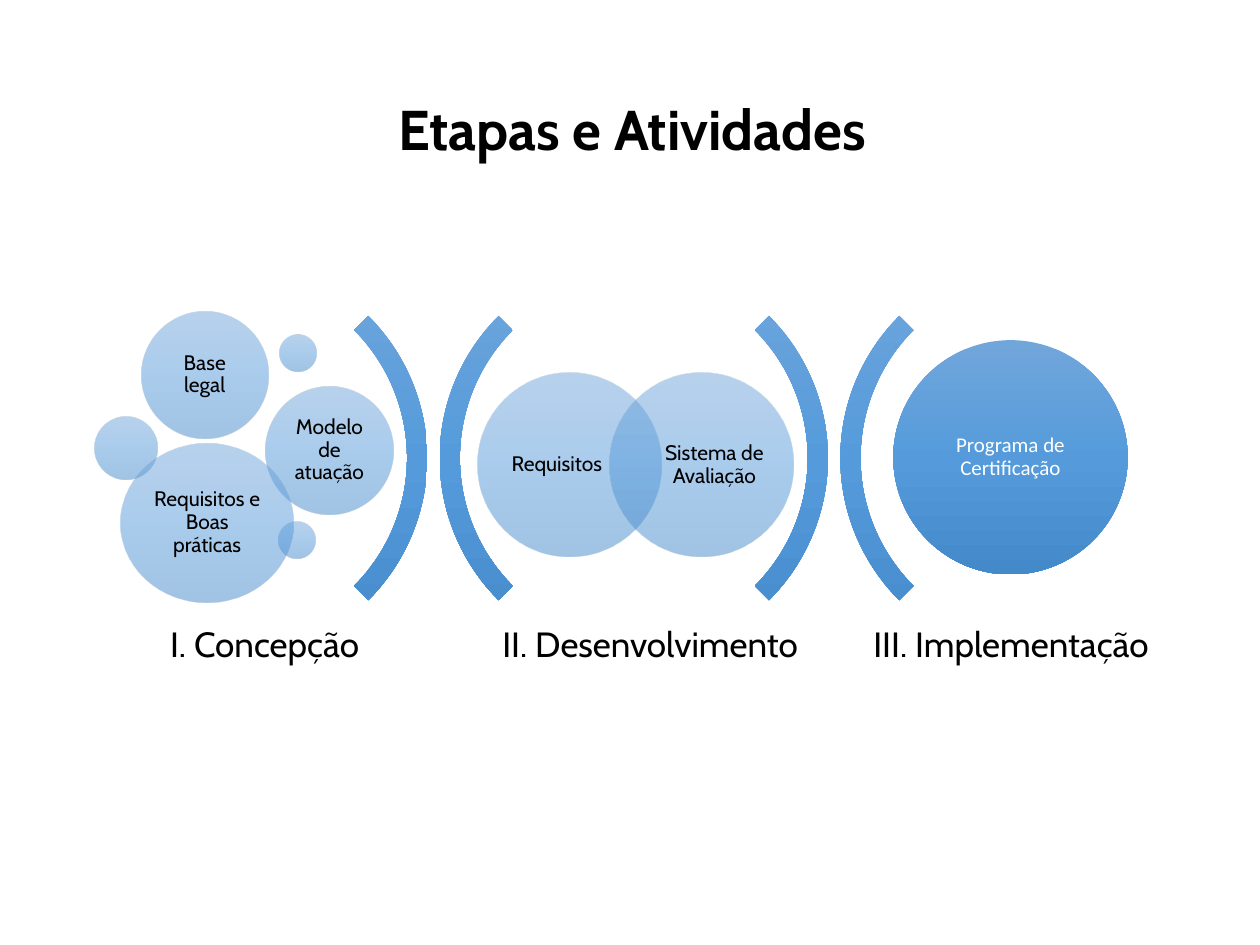
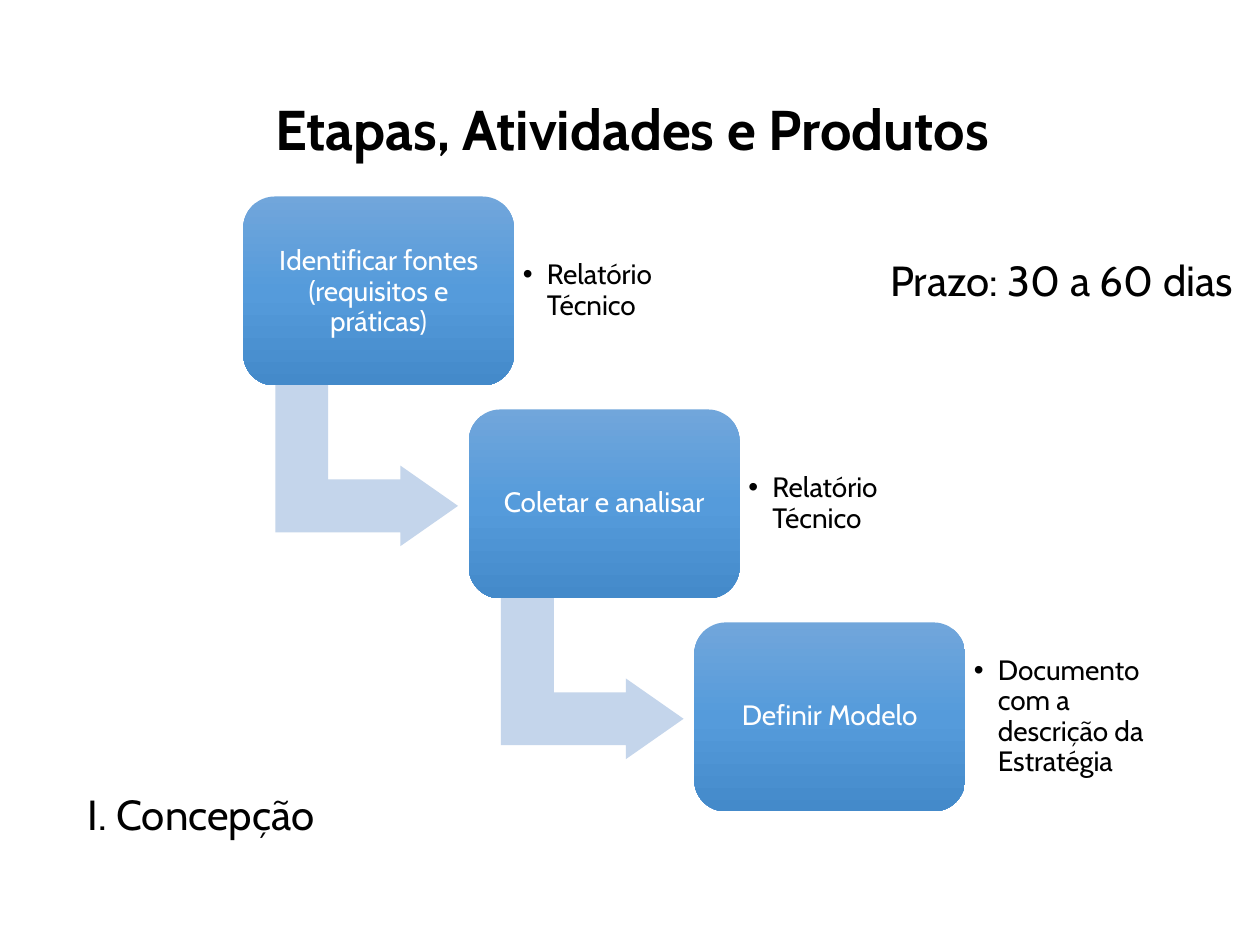
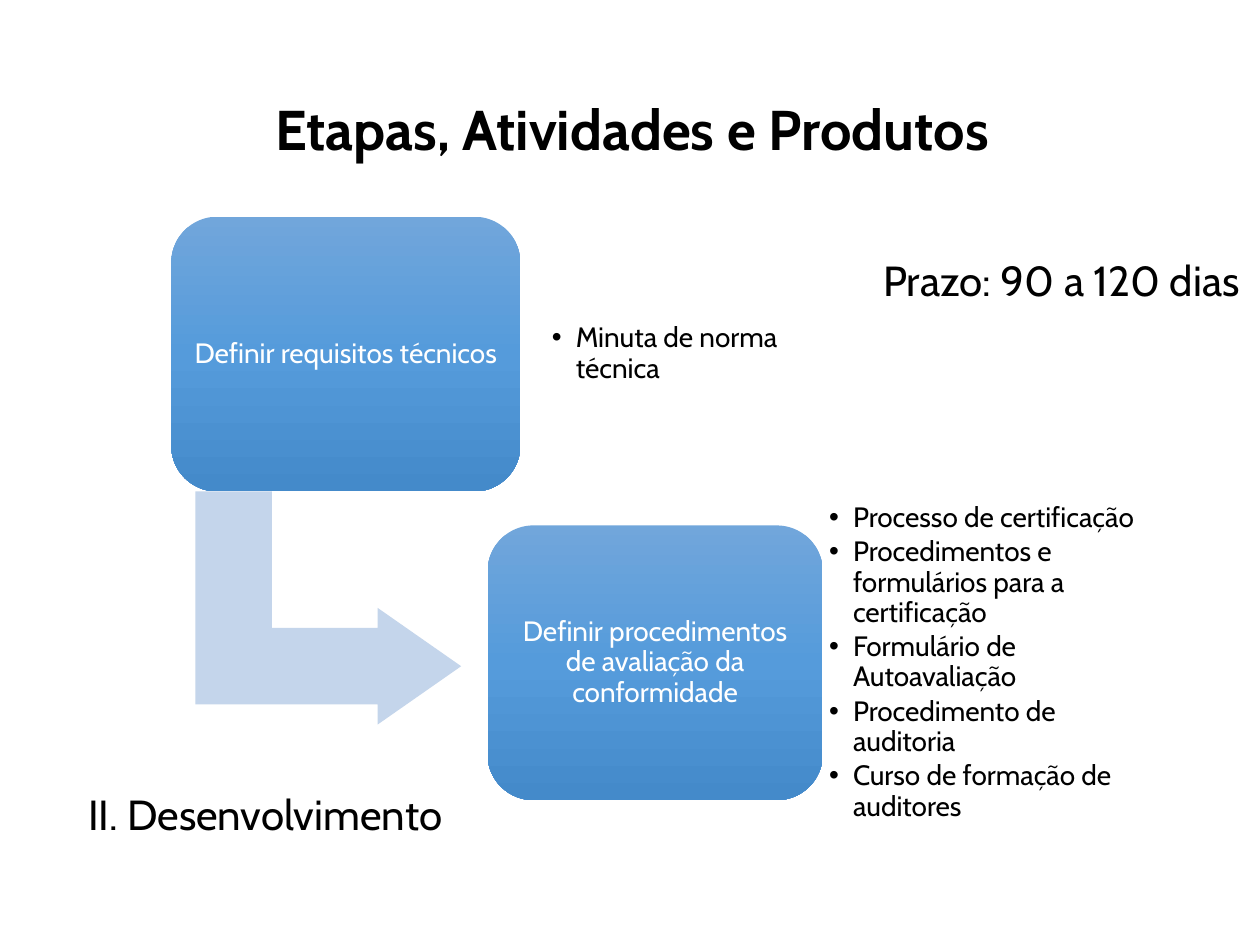
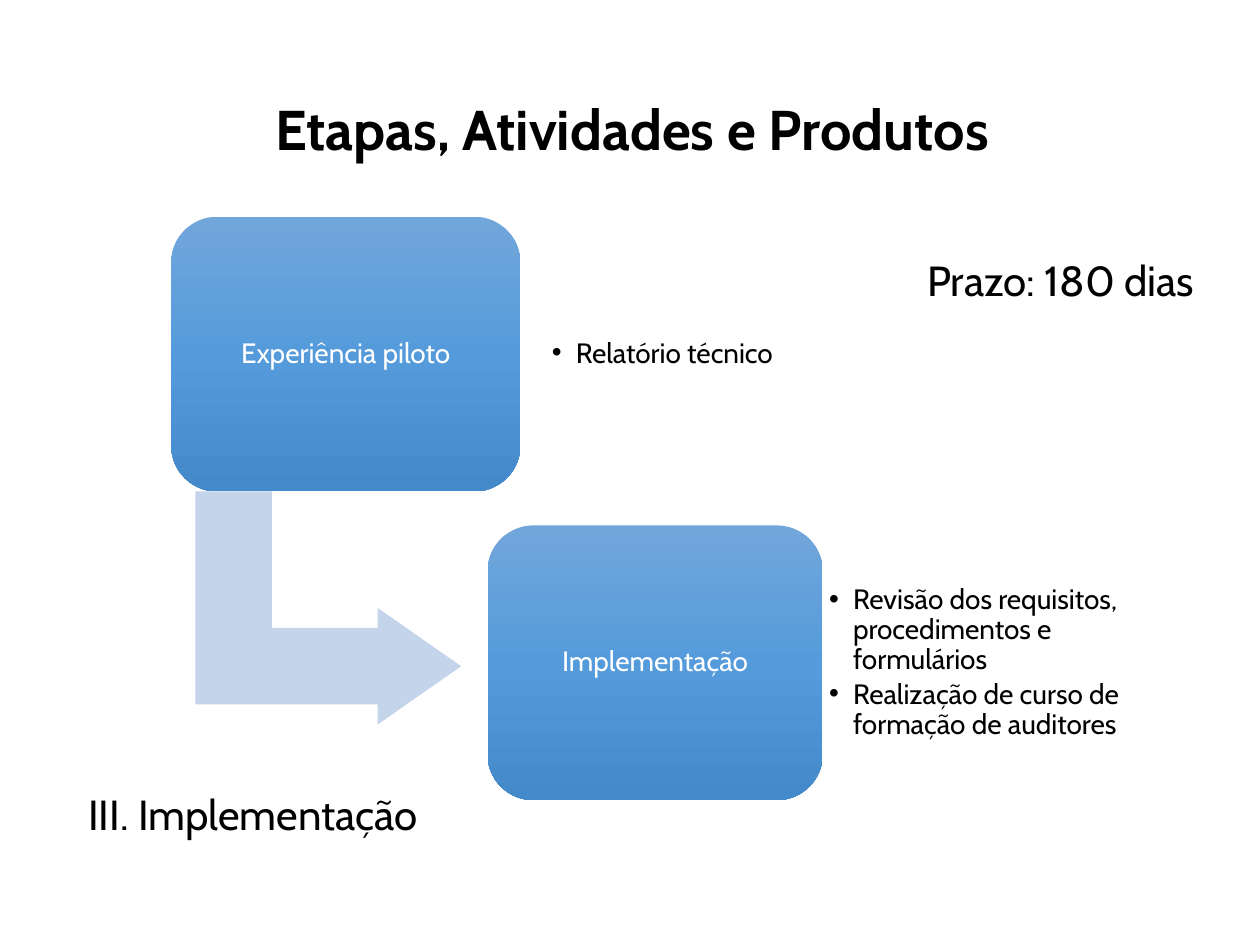
from pptx import Presentation
from pptx import util as u
from pptx.dml.color import RGBColor
from pptx.enum import shapes, text
from pptx.oxml import parse_xml
from pptx.oxml.ns import nsdecls

PX = 9144
COLORS = {"top": "71A6DB", "middle": "559BDB", "bottom": "448ACA",
          "arrow": "C4D5EB", "ink": "000000", "light": "FFFFFF"}
SHAPES = shapes.MSO_SHAPE
CENTER = text.PP_ALIGN.CENTER
LEFT = text.PP_ALIGN.LEFT
MIDDLE = text.MSO_ANCHOR.MIDDLE


def add_shape(slide, kind, box, fill="gradient", opacity=100, rotation=0, adjustments=()):
    shape = slide.shapes.add_shape(kind, *[n * PX for n in box])
    shape.rotation = rotation
    for index, value in enumerate(adjustments):
        shape.adjustments[index] = value
    if fill == "gradient":
        stops = "".join(
            f'<a:gs pos="{position}"><a:srgbClr val="{COLORS[name]}">'
            f'<a:alpha val="{opacity * 1000}"/></a:srgbClr></a:gs>'
            for position, name in ((0, "top"), (50000, "middle"), (100000, "bottom")))
        gradient = parse_xml(
            f'<a:gradFill {nsdecls("a")} rotWithShape="0"><a:gsLst>{stops}</a:gsLst>'
            '<a:lin ang="5400000" scaled="0"/></a:gradFill>')
        shape._element.spPr.prstGeom.addnext(gradient)
    else:
        shape.fill.solid()
        shape.fill.fore_color.rgb = RGBColor.from_string(COLORS[fill])
    shape.line.fill.background()
    shape.shadow.inherit = False
    return shape


def write(shape, paragraphs, size, color="ink", margins=(10, 5, 10, 5), align=CENTER,
          spacing=0.9, after=0, wrap=True, anchor=MIDDLE, bold=False, bullet=False):
    frame = shape.text_frame
    frame_format = {"word_wrap": wrap, "vertical_anchor": anchor,
                    "auto_size": text.MSO_AUTO_SIZE.NONE if wrap else text.MSO_AUTO_SIZE.SHAPE_TO_FIT_TEXT}
    for side, margin in zip(("left", "top", "right", "bottom"), margins):
        frame_format[f"margin_{side}"] = margin * PX
    for name, value in frame_format.items():
        setattr(frame, name, value)
    paragraph_format = {"alignment": align, "line_spacing": spacing,
                        "space_before": u.Pt(0), "space_after": u.Pt(after)}
    for index, runs in enumerate(paragraphs):
        paragraph = frame.add_paragraph() if index else frame.paragraphs[0]
        for name, value in paragraph_format.items():
            setattr(paragraph, name, value)
        if bullet:
            properties = paragraph._p.get_or_add_pPr()
            properties.set("marL", str(19 * PX))
            properties.set("indent", str(-19 * PX))
            properties.append(parse_xml(f'<a:buChar {nsdecls("a")} char="•"/>'))
        for content, changes in runs:
            run = paragraph.add_run()
            run.text = content
            run_format = {"name": "Cabin", "size": u.Pt(size), "bold": bold} | changes
            for name, value in run_format.items():
                setattr(run.font, name, value)
            run.font.color.rgb = RGBColor.from_string(COLORS[color])


presentation = Presentation()
presentation.slide_width = 1000 * PX
presentation.slide_height = 750 * PX

TITLE_BOX = (77, 21, 850, 161)
ACTIVITIES = "Etapas e Atividades"
PRODUCTS = "Etapas, Atividades e Produtos"
slides = []
for title, layout in ((ACTIVITIES, 5), (PRODUCTS, 4), (PRODUCTS, 3), (PRODUCTS, 3)):
    slide = presentation.slides.add_slide(presentation.slide_layouts[layout])
    holder = slide.shapes.title
    holder.left, holder.top, holder.width, holder.height = [n * PX for n in TITLE_BOX]
    write(holder, [[(title, {})]], 32, spacing=1.0, bold=True)
    slides.append(slide)

overview = slides[0]
for left, rotation in ((20, 90), (349, 270), (338, 90), (667, 270)):
    add_shape(overview, SHAPES.BLOCK_ARC, (left, 204, 319, 319),
              rotation=rotation, adjustments=(135, 189, 0.05))

EVEN = (5, 5, 5, 5)
bubbles = [
    ((379, 296, 146, 146), "Requisitos", (0, 0, 20, 0)),
    ((484, 296, 146, 146), "Sistema de Avaliação", (20, 0, 0, 0)),
    ((112, 247, 101, 101), "Base legal", EVEN),
    ((75, 331, 50, 50), "", EVEN),
    ((222, 266, 29, 29), "", EVEN),
    ((211, 307, 101, 101), "Modelo de atuação", EVEN),
    ((221, 414, 29, 29), "", EVEN),
    ((96, 352, 137, 126), "Requisitos e Boas práticas", EVEN),
]
for box, label, margins in bubbles:
    bubble = add_shape(overview, SHAPES.OVAL, box, opacity=50)
    if label:
        write(bubble, [[(label, {})]], 12, margins=margins)

program = add_shape(overview, SHAPES.OVAL, (709, 270, 186, 186))
write(program, [[("Programa de Certificação", {"name": "Calibri"})]], 12, "light", EVEN)

stages = ["I. Concepção", "II. Desenvolvimento", "III. Implementação"]
for stage, left, width in zip(stages, (89, 375, 661), (242, 282, 283)):
    caption = overview.shapes.add_textbox(left * PX, 481 * PX, width * PX, 64 * PX)
    write(caption, [[(stage, {})]], 20, margins=(8, 8, 8, 8))

stair_boxes = [(193 + 179 * n, 156 + 169 * n, 215, 150) for n in range(3)]
stair_lists = [(left + width, top + 14, 156, 122) for left, top, width, height in stair_boxes]
stair_arrows = [(left + 34, top + 141, 128, 145) for left, top, width, height in stair_boxes[:2]]
pair_boxes = [(136, 172, 277, 218), (387, 417, 266, 218)]
pair_lists = [(431, 193, 227, 176), (651, 438, 276, 176)]
pair_arrows = [(168, 377, 185, 211)]

plans = [
    ("Prazo: 30 a 60 dias", 299, stair_boxes, stair_lists, stair_arrows, [
        ([("I", {"name": "Calibri", "size": u.Pt(17)}),
          ("dentificar fontes (requisitos e práticas)", {})], ["Relatório Técnico"]),
        ([("Coletar e analisar", {})], ["Relatório Técnico"]),
        ([("Definir Modelo", {})], ["Documento com a descrição da Estratégia"]),
    ]),
    ("Prazo: 90 a 120 dias", 317, pair_boxes, pair_lists, pair_arrows, [
        ([("Definir requisitos técnicos", {})], ["Minuta de norma técnica"]),
        ([("Definir procedimentos de avaliação da conformidade", {})], [
            "Processo de certificação",
            "Procedimentos e formulários para a certificação",
            "Formulário de Autoavaliação",
            "Procedimento de auditoria",
            "Curso de formação de auditores"]),
    ]),
    ("Prazo: 180 dias", 244, pair_boxes, pair_lists, pair_arrows, [
        ([("Experiência piloto", {})], ["Relatório técnico"]),
        ([("Implementação", {})], [
            "Revisão dos requisitos, procedimentos e formulários",
            "Realização de curso de formação de auditores"]),
    ]),
]

STEP_MARGINS = (7, 7, 7, 7)
for slide, stage, stage_width, plan in zip(slides[1:], stages, (213, 311, 291), plans):
    deadline, deadline_width, boxes, lists, arrows, steps = plan
    for box in arrows:
        add_shape(slide, SHAPES.BENT_UP_ARROW, box, "arrow", rotation=90,
                  adjustments=(0.328, 0.25, 0.358))
    holders = [holder for holder in slide.placeholders if holder.placeholder_format.idx]
    for box, list_box, holder, (label, products) in zip(boxes, lists, holders, steps):
        step = add_shape(slide, SHAPES.ROUNDED_RECTANGLE, box, adjustments=(0.167,))
        write(step, [label], 16, "light", STEP_MARGINS)
        holder.left, holder.top, holder.width, holder.height = [n * PX for n in list_box]
        write(holder, [[(product, {})] for product in products], 16, margins=STEP_MARGINS,
              align=LEFT, after=2.4, bullet=True)
    for holder in holders[len(steps):]:
        holder._element.getparent().remove(holder._element)
    notes = [(stage, 60, 621, stage_width, LEFT),
             (deadline, 842 - deadline_width // 2, 197, deadline_width, CENTER)]
    for content, left, top, width, align in notes:
        note = slide.shapes.add_textbox(left * PX, top * PX, width * PX, 50 * PX)
        write(note, [[(content, {})]], 24, align=align, spacing=1.0, wrap=False,
              anchor=text.MSO_ANCHOR.TOP)

presentation.save("out.pptx")
